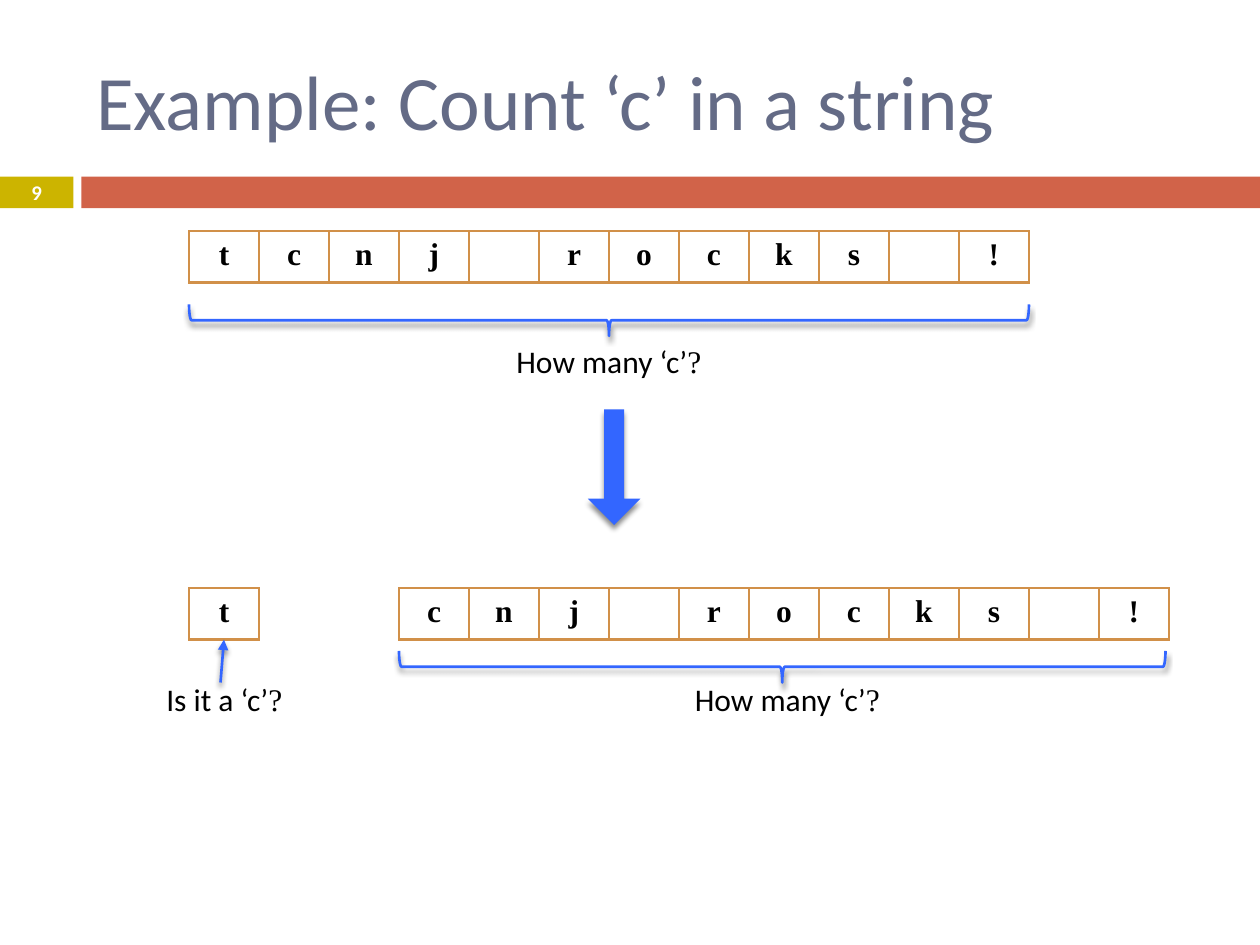
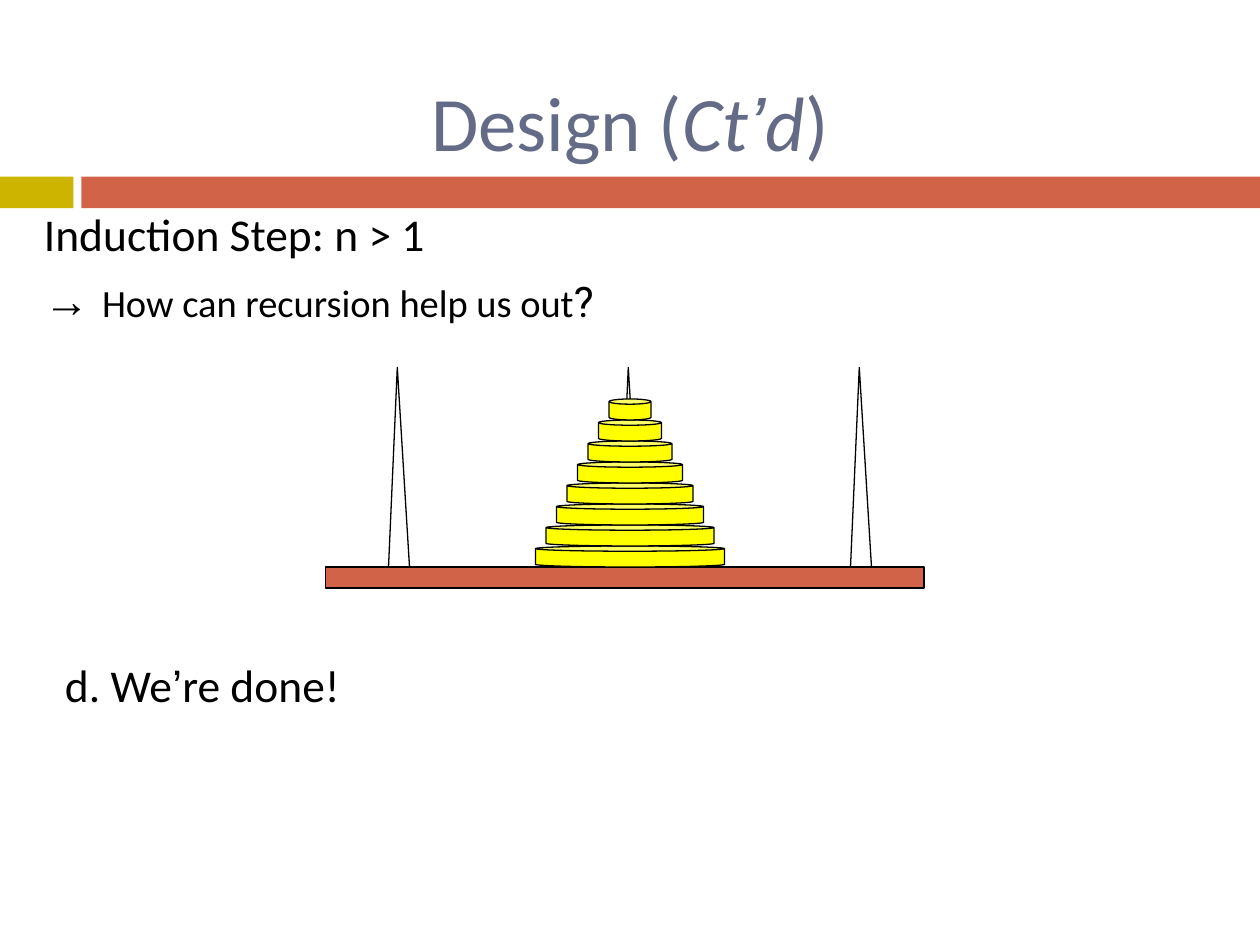
from lxml import etree
from pptx import Presentation
from pptx.dml.color import RGBColor
from pptx.enum import shapes, text
from pptx.oxml import ns, parse_xml
from pptx.util import Pt

OLIVE = RGBColor(0xCC, 0xB4, 0x00)
BRICK = RGBColor(0xD1, 0x63, 0x49)
SLATE = RGBColor(0x64, 0x6B, 0x86)
BLUE = RGBColor(0x33, 0x66, 0xFF)
YELLOW = RGBColor(0xFF, 0xFF, 0x00)
WHITE = RGBColor(0xFF, 0xFF, 0xFF)
BLACK = RGBColor(0x00, 0x00, 0x00)
CELL_BORDER = RGBColor(0xD1, 0x90, 0x49)

BODY, SERIF, SYMBOL = "Calibri", "Times New Roman", "Arial"
TITLE_SIZE, BODY_SIZE, LABEL_SIZE = 44, 26, 18
LEFT, CENTER = text.PP_ALIGN.LEFT, text.PP_ALIGN.CENTER
MIDDLE, TOP = text.MSO_ANCHOR.MIDDLE, text.MSO_ANCHOR.TOP
Shape = shapes.MSO_SHAPE

SHADOW = (
    f'<a:effectLst {ns.nsdecls("a")}><a:outerShdw blurRad="{Pt(3)}" dist="{Pt(2.4)}" '
    'dir="5400000" rotWithShape="0"><a:srgbClr val="000000"><a:alpha val="45000"/>'
    '</a:srgbClr></a:outerShdw></a:effectLst>'
)


def add_text(slide, box, paragraphs, size, color=BLACK, align=LEFT, anchor=TOP, wrap=True):
    frame = slide.shapes.add_textbox(*map(Pt, box)).text_frame
    frame.word_wrap = wrap
    frame.vertical_anchor = anchor
    for i, pieces in enumerate(paragraphs):
        paragraph = frame.add_paragraph() if i else frame.paragraphs[0]
        paragraph.alignment = align
        paragraph.font.size = Pt(size)
        paragraph.font.color.rgb = color
        paragraph.font.name = pieces[0][1]
        for words, font in pieces:
            run = paragraph.add_run()
            run.text = words
            if font != pieces[0][1] or len(pieces) > 1:
                run.font.name = font
    return frame


def add_solid(slide, kind, box, fill, outline=None):
    solid = slide.shapes.add_shape(kind, *map(Pt, box))
    solid.shadow.inherit = False
    solid.fill.solid()
    solid.fill.fore_color.rgb = fill
    if outline is None:
        solid.line.fill.background()
    else:
        solid.line.color.rgb = outline
        solid.line.width = Pt(0.75)
    return solid


deck = Presentation()
deck.slide_width, deck.slide_height = Pt(720), Pt(540)
count_slide, hanoi_slide = [deck.slides.add_slide(deck.slide_layouts[6]) for _ in range(2)]
for slide in (count_slide, hanoi_slide):
    add_solid(slide, Shape.RECTANGLE, (0, 101, 42, 18), OLIVE)
    add_solid(slide, Shape.RECTANGLE, (46.5, 101, 673.5, 18), BRICK)

add_text(count_slide, (48, 18, 642, 78), [[("Example: Count ‘c’ in a string", BODY)]],
         TITLE_SIZE, SLATE, anchor=MIDDLE)
page_number = add_text(count_slide, (0, 100, 42, 19.5), [[("9", BODY)]], 11.9, WHITE, CENTER, MIDDLE)
page_number.paragraphs[0].font.bold = True

CELL_WIDTH, CELL_HEIGHT = 40, 29.5
for left, top, letters in ((108, 132, "tcnj rocks !"), (228, 336, "cnj rocks !"), (108, 336, "t")):
    letter_row = count_slide.shapes.add_table(
        1, len(letters), Pt(left), Pt(top), Pt(CELL_WIDTH * len(letters)), Pt(CELL_HEIGHT)).table
    letter_row.first_row = letter_row.horz_banding = False
    for cell, letter in zip(letter_row.iter_cells(), letters):
        cell.text = letter.strip()
        character = cell.text_frame.paragraphs[0]
        character.alignment = CENTER
        character.font.size = Pt(LABEL_SIZE)
        character.font.name = SERIF
        character.font.bold = True
        character.font.color.rgb = BLACK
        properties = cell._tc.get_or_add_tcPr()
        for side, width in (("lnL", 1), ("lnR", 1), ("lnT", 1), ("lnB", 2)):
            border = etree.SubElement(properties, ns.qn(f"a:{side}"), w=str(Pt(width)))
            paint = etree.SubElement(border, ns.qn("a:solidFill"))
            etree.SubElement(paint, ns.qn("a:srgbClr"), val=str(CELL_BORDER))
        cell.fill.background()

BRACE_DEPTH = 18
for center_x, center_y, span in ((348, 183, 480), (447, 381, 438)):
    brace = count_slide.shapes.add_shape(
        Shape.RIGHT_BRACE, Pt(center_x - BRACE_DEPTH / 2), Pt(center_y - span / 2),
        Pt(BRACE_DEPTH), Pt(span))
    brace.rotation = 90
    brace.adjustments[0], brace.adjustments[1] = 0.08, 0.5
    brace.fill.background()
    brace.line.color.rgb = BLUE
    brace.line.width = Pt(1.5)
    brace._element.spPr.append(parse_xml(SHADOW))

for box, question, wrap in (
    ((288, 192, 120, 29), "How many ‘c’", False),
    ((390, 385, 120, 29), "How many ‘c’", False),
    ((88, 385, 80.5, 29), "Is it a ‘c’", True),
):
    add_text(count_slide, box, [[(question, BODY), ("?", SERIF)]], LABEL_SIZE, wrap=wrap)

step_arrow = count_slide.shapes.add_shape(Shape.DOWN_ARROW, Pt(336), Pt(234), Pt(30), Pt(66))
step_arrow.adjustments[0], step_arrow.adjustments[1] = 0.38, 0.5
step_arrow.fill.solid()
step_arrow.fill.fore_color.rgb = BLUE
step_arrow.line.fill.background()
step_arrow._element.spPr.append(parse_xml(SHADOW))

pointer = count_slide.shapes.add_connector(
    shapes.MSO_CONNECTOR.STRAIGHT, Pt(126), Pt(390), Pt(128), Pt(365.5))
pointer.line.color.rgb = BLUE
pointer.line.width = Pt(1.5)
etree.SubElement(pointer.line._get_or_add_ln(), ns.qn("a:tailEnd"), type="triangle")
pointer._element.spPr.append(parse_xml(SHADOW))

design_title = add_text(
    hanoi_slide, (72, 24, 576, 90),
    [[("Design (", BODY), ("Ct", BODY), ("’", SYMBOL), ("d", BODY), (")", BODY)]],
    TITLE_SIZE, SLATE, CENTER, MIDDLE)
for run in design_title.paragraphs[0].runs[1:4]:
    run.font.italic = True

induction = add_text(
    hanoi_slide, (18, 114, 690, 72),
    [[("Induction Step: n > 1", BODY)],
     [("→ ", SYMBOL), ("How can recursion help us out", BODY), ("?", "Roboto")]],
    BODY_SIZE)
recursion_hint = induction.paragraphs[1]
recursion_hint.space_before = Pt(7)
recursion_hint.runs[1].font.size = Pt(22)
recursion_hint.runs[2].font.size = Pt(24)
conclusion = add_text(
    hanoi_slide, (30, 372, 672, 72),
    [[("d. We", BODY), ("’", SYMBOL), ("re done!", BODY)]], BODY_SIZE)
for frame, hang in ((induction, 25), (conclusion, 27)):
    for paragraph in frame.paragraphs:
        indents = paragraph._p.get_or_add_pPr()
        indents.set("marL", str(Pt(hang)))
        indents.set("indent", str(-Pt(hang)))

for i in range(3):
    peg = add_solid(hanoi_slide, Shape.ISOSCELES_TRIANGLE, (222 + 132 * i, 210, 12, 114), WHITE, BLACK)
    peg.adjustments[0] = 0.42
add_solid(hanoi_slide, Shape.RECTANGLE, (186, 324, 342, 12), BRICK, BLACK)
DISK_HEIGHT = 12
for i in range(8):
    disk_width = 108 - 12 * i
    disk = add_solid(
        hanoi_slide, Shape.CAN,
        (360 - disk_width / 2, 312 - DISK_HEIGHT * i, disk_width, DISK_HEIGHT), YELLOW, BLACK)
    disk.adjustments[0] = 0.25

deck.save("out.pptx")
